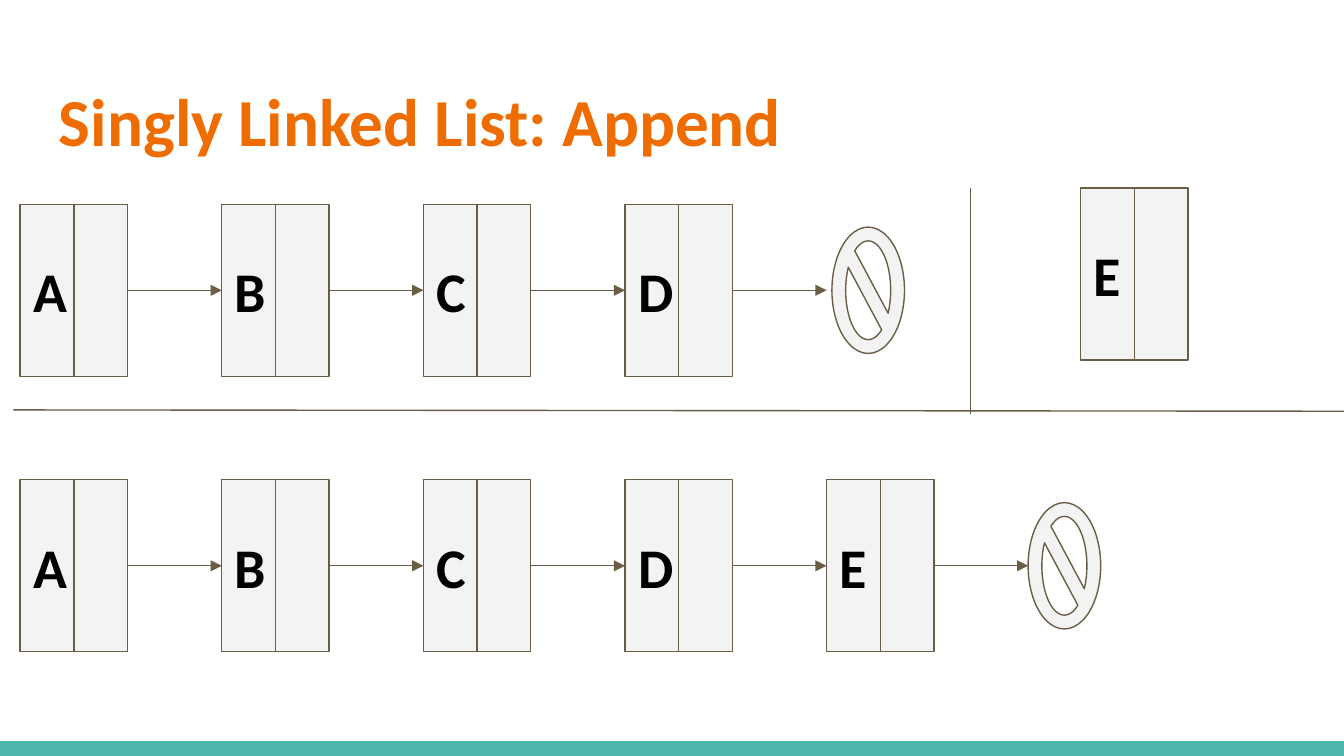
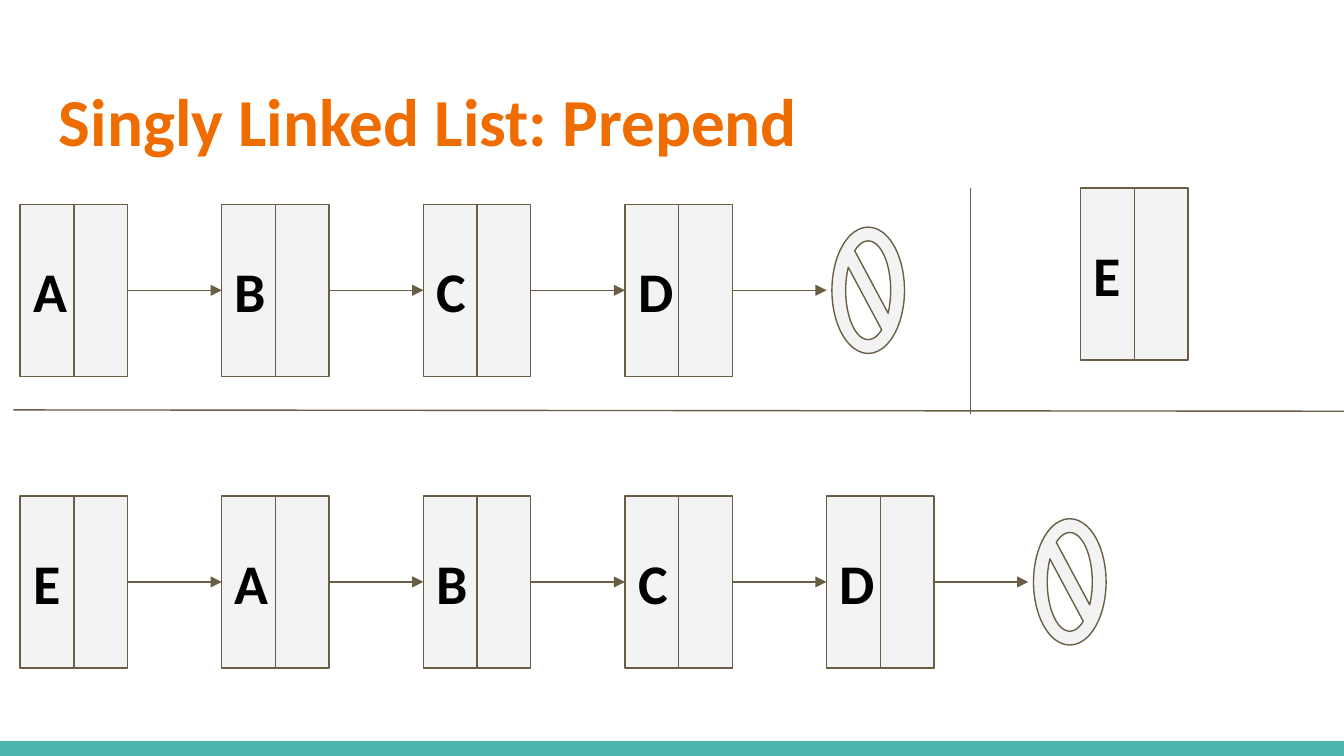
from itertools import pairwise

from lxml import etree
from pptx import Presentation
from pptx import util as u
from pptx.dml.color import RGBColor
from pptx.enum import shapes, text
from pptx.oxml.ns import qn

COLORS = {
    "title": "EF6C00",
    "band": "4DB6AC",
    "node": "F3F3F3",
    "line": "695D46",
    "letter": "000000",
}
FONT = "Calibri"
WIDTH = u.Inches(10)
HEIGHT = WIDTH * 9 // 16
MARGIN, PITCH = 0.15, 1.5            # grid of list columns, in inches
NODE_WIDTH, NODE_HEIGHT = 0.8, 1.28
NULL_WIDTH, NULL_HEIGHT = 0.54, 0.94
UPPER_ROW, LOOSE_ROW = 1.52, 1.4     # tops of the nodes


def column(index):
    return MARGIN + index * PITCH


def color(name):
    return RGBColor.from_string(COLORS[name])


# Elements
def write(shape, content, *, size, fill, anchor=text.MSO_ANCHOR.TOP):
    frame = shape.text_frame
    frame.word_wrap = True
    frame.vertical_anchor = anchor
    frame.margin_left = frame.margin_right = u.Inches(0.1)
    frame.margin_top = frame.margin_bottom = u.Inches(0.1)
    paragraph = frame.paragraphs[0]
    paragraph.alignment = text.PP_ALIGN.LEFT
    run = paragraph.add_run()
    run.text = content
    run.font.name = FONT
    run.font.size = u.Pt(size)
    run.font.bold = True
    run.font.color.rgb = color(fill)


def add_outlined(slide, kind, left, top, width, height):
    shape = slide.shapes.add_shape(kind, *map(u.Inches, (left, top, width, height)))
    shape.shadow.inherit = False
    shape.fill.solid()
    shape.fill.fore_color.rgb = color("node")
    shape.line.color.rgb = color("line")
    shape.line.width = u.Pt(0.75)
    return shape


def add_line(slide, start, end, arrow=False):
    line = slide.shapes.add_connector(
        shapes.MSO_CONNECTOR.STRAIGHT, *map(u.Inches, (*start, *end)))
    line.line.color.rgb = color("line")
    line.line.width = u.Pt(0.75)
    if arrow:
        etree.SubElement(line.line._get_or_add_ln(), qn("a:tailEnd"), type="triangle")
    etree.SubElement(line._element.spPr, qn("a:effectLst"))
    return line


def add_node(slide, letter, left, top):
    node = add_outlined(slide, shapes.MSO_SHAPE.RECTANGLE,
                        left, top, NODE_WIDTH, NODE_HEIGHT)
    write(node, letter, size=30, fill="letter", anchor=text.MSO_ANCHOR.MIDDLE)
    middle = left + NODE_WIDTH / 2
    add_line(slide, (middle, top), (middle, top + NODE_HEIGHT))
    return node


def add_null(slide, left, center):
    sign = add_outlined(slide, shapes.MSO_SHAPE.NO_SYMBOL, left,
                        center - NULL_HEIGHT / 2, NULL_WIDTH, NULL_HEIGHT)
    sign.adjustments[0] = 0.19


def add_linked_list(slide, letters, top, null_gap):
    center = top + NODE_HEIGHT / 2
    nodes = [add_node(slide, letter, column(index), top)
             for index, letter in enumerate(letters)]
    for index, (source, target) in enumerate(pairwise(nodes)):
        arrow = add_line(slide, (column(index) + NODE_WIDTH, center),
                         (column(index + 1), center), arrow=True)
        arrow.begin_connect(source, 3)
        arrow.end_connect(target, 1)

    # The last node points to the null sign
    end = column(len(nodes))
    arrow = add_line(slide, (end - PITCH + NODE_WIDTH, center), (end, center), arrow=True)
    arrow.begin_connect(nodes[-1], 3)
    add_null(slide, end + null_gap, center)


# Slide frame
def add_frame(slide, title):
    band_height = u.Inches(0.11)
    band = slide.shapes.add_shape(shapes.MSO_SHAPE.RECTANGLE, 0,
                                  HEIGHT - band_height, WIDTH, band_height)
    band.shadow.inherit = False
    band.fill.solid()
    band.fill.fore_color.rgb = color("band")
    band.line.fill.background()
    box = slide.shapes.add_textbox(*map(u.Inches, (0.34, 0.49, 9.32, 0.77)))
    write(box, title, size=36, fill="title")


def add_operation(presentation, operation, result, result_row, null_gap):
    slide = presentation.slides.add_slide(presentation.slide_layouts[6])
    add_frame(slide, f"Singly Linked List: {operation}")

    # Before: the list and the new node, set apart by rules
    add_linked_list(slide, "ABCD", UPPER_ROW, null_gap=0.04)
    add_line(slide, (7.22, LOOSE_ROW), (7.22, 3.08))
    add_line(slide, (0.1, 3.05), (10, 3.06))
    add_node(slide, "E", 8.04, LOOSE_ROW)

    # After
    add_linked_list(slide, result, result_row, null_gap)


def main():
    presentation = Presentation()
    presentation.slide_width, presentation.slide_height = WIDTH, HEIGHT
    add_operation(presentation, "Append", "ABCDE", result_row=3.57, null_gap=0)
    add_operation(presentation, "Prepend", "EABCD", result_row=3.69, null_gap=0.04)
    presentation.save("out.pptx")


if __name__ == "__main__":
    main()
